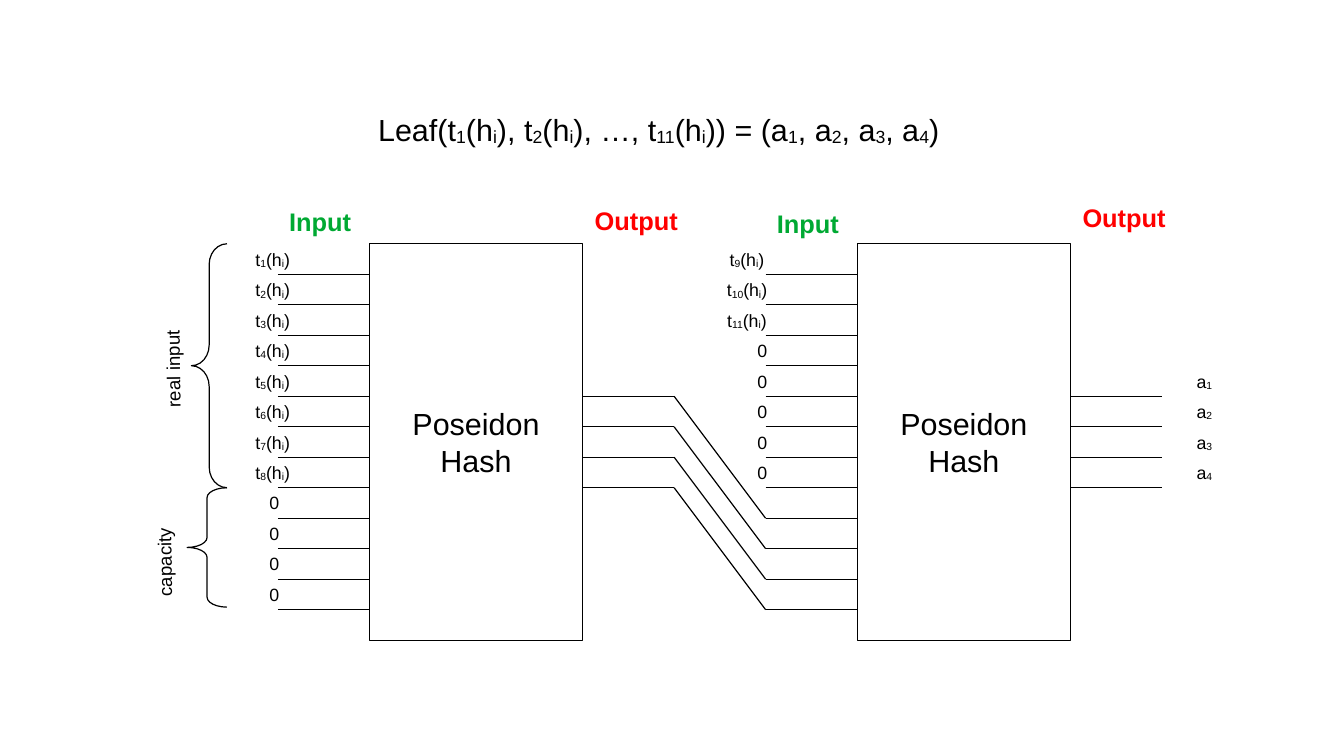
from lxml.etree import SubElement
from pptx import Presentation
from pptx.dml.color import RGBColor
from pptx.enum.shapes import MSO_CONNECTOR, MSO_SHAPE
from pptx.enum.text import MSO_ANCHOR, MSO_AUTO_SIZE, PP_ALIGN
from pptx.oxml.ns import qn
from pptx.util import Pt

COLORS = {"ink": "000000", "block": "FFFFFF", "input": "00A933", "output": "FF0000"}
BLOCK_TOP, BLOCK_WIDTH, BLOCK_HEIGHT = 144, 126, 234
FIRST_BLOCK, SECOND_BLOCK = 218, 506
WIRE_LENGTH, WIRE_GAP = 54, 18
INPUT_COUNT, FIRST_OUTPUT, OUTPUT_COUNT = 12, 4, 4


def wire_y(row):
    return BLOCK_TOP + WIRE_GAP * (row + 1)


class Diagram:
    font_name = "Arial"
    line_width = 0.71

    def __init__(self, slide):
        self.slide = slide

    def color(self, name):
        return RGBColor.from_string(COLORS[name])

    def set_text(self, frame, text, size, color="ink", bold=False, align=PP_ALIGN.CENTER):
        frame.word_wrap = True
        frame.auto_size = MSO_AUTO_SIZE.NONE
        frame.vertical_anchor = MSO_ANCHOR.MIDDLE
        frame.margin_left = frame.margin_right = Pt(7.2)
        frame.margin_top = frame.margin_bottom = Pt(3.6)
        lines = text.split("\n")
        frame.text = "\n".join(line.split("_")[0] for line in lines)
        for paragraph, line in zip(frame.paragraphs, lines):
            paragraph.alignment = align
            for piece in line.split("_")[1:]:
                paragraph.add_run().text = piece
            for index, run in enumerate(paragraph.runs):
                run.font.name = self.font_name
                run.font.size = Pt(size)
                run.font.bold = bold
                run.font.color.rgb = self.color(color)
                if index % 2:
                    run.font._element.set("baseline", "-8000")

    def title(self, text, left, top, width, height):
        heading = self.slide.shapes.title
        heading.left, heading.top = Pt(left), Pt(top)
        heading.width, heading.height = Pt(width), Pt(height)
        self.set_text(heading.text_frame, text, 18, align=PP_ALIGN.LEFT)

    def label(self, text, left, top, width, height, size=10.5, rotation=0, **style):
        box = self.slide.shapes.add_textbox(Pt(left), Pt(top), Pt(width), Pt(height))
        box.rotation = rotation
        self.set_text(box.text_frame, text, size, **style)

    def outline(self, kind, left, top, width, height):
        shape = self.slide.shapes.add_shape(kind, Pt(left), Pt(top), Pt(width), Pt(height))
        shape.shadow.inherit = False
        shape.line.color.rgb = self.color("ink")
        shape.line.width = Pt(self.line_width)
        return shape

    def block(self, text, left):
        block = self.outline(MSO_SHAPE.RECTANGLE, left, BLOCK_TOP, BLOCK_WIDTH, BLOCK_HEIGHT)
        block.fill.solid()
        block.fill.fore_color.rgb = self.color("block")
        self.set_text(block.text_frame, text, 18)

    def brace(self, left, top, width, height, curve):
        brace = self.outline(MSO_SHAPE.LEFT_BRACE, left, top, width, height)
        brace.fill.background()
        brace.adjustments[0] = curve

    def wire(self, left, start_y, end_y):
        wire = self.slide.shapes.add_connector(
            MSO_CONNECTOR.STRAIGHT, Pt(left), Pt(start_y), Pt(left + WIRE_LENGTH), Pt(end_y))
        wire.line.color.rgb = self.color("ink")
        wire.line.width = Pt(self.line_width)
        SubElement(wire._element.spPr, qn("a:effectLst"))

    def wire_labels(self, texts, left, width, first_row=0):
        for row, text in enumerate(texts, first_row):
            self.label(text, left, wire_y(row) - 18.4, width, 18.7)


def main():
    deck = Presentation()
    deck.slide_width, deck.slide_height = Pt(793.44), Pt(446.4)
    diagram = Diagram(deck.slides.add_slide(deck.slide_layouts[5]))

    diagram.title("Leaf(t_1_(h_i_), t_2_(h_i_), …, t_11_(h_i_)) = (a_1_, a_2_, a_3_, a_4_)",
                  216, 62.6, 380, 27.4)

    for block_left, input_top, output_top in ((FIRST_BLOCK, 118.8, 110.2),
                                              (SECOND_BLOCK, 120.2, 108)):
        block_right = block_left + BLOCK_WIDTH
        diagram.block("Poseidon\nHash", block_left)
        for row in range(INPUT_COUNT):
            diagram.wire(block_left - WIRE_LENGTH, wire_y(row), wire_y(row))
        for row in range(FIRST_OUTPUT, FIRST_OUTPUT + OUTPUT_COUNT):
            diagram.wire(block_right, wire_y(row), wire_y(row))
        diagram.label("Input", block_left - 56, input_top, 54, 23.8, 15,
                      color="input", bold=True)
        diagram.label("Output", block_right, output_top, 72, 40.3, 15,
                      color="output", bold=True, align=PP_ALIGN.LEFT)

    for row in range(FIRST_OUTPUT, FIRST_OUTPUT + OUTPUT_COUNT):
        diagram.wire(FIRST_BLOCK + BLOCK_WIDTH + WIRE_LENGTH, wire_y(row), wire_y(row + 4))

    diagram.brace(113, 144, 21, 144, 0.58)
    diagram.label("real input", 67.7, 202.3, 68.4, 22.3, 11, 269.2, align=PP_ALIGN.LEFT)
    diagram.brace(110.5, 288, 23.5, 70.5, 0.25)
    diagram.label("capacity", 61.2, 311, 71.3, 25.2, 11, 269.2, align=PP_ALIGN.LEFT)

    terms = [f"t_{number}_(h_i_)" for number in range(1, 12)]
    diagram.wire_labels(terms[:8], 134, 54)
    diagram.wire_labels(["0"] * 4, 144, 36, first_row=8)
    diagram.wire_labels(terms[8:], 414, 54)
    diagram.wire_labels(["0"] * 5, 432, 36, first_row=3)
    diagram.wire_labels([f"a_{number}" for number in range(1, 5)], 684, 54, FIRST_OUTPUT)

    deck.save("out.pptx")


if __name__ == "__main__":
    main()
